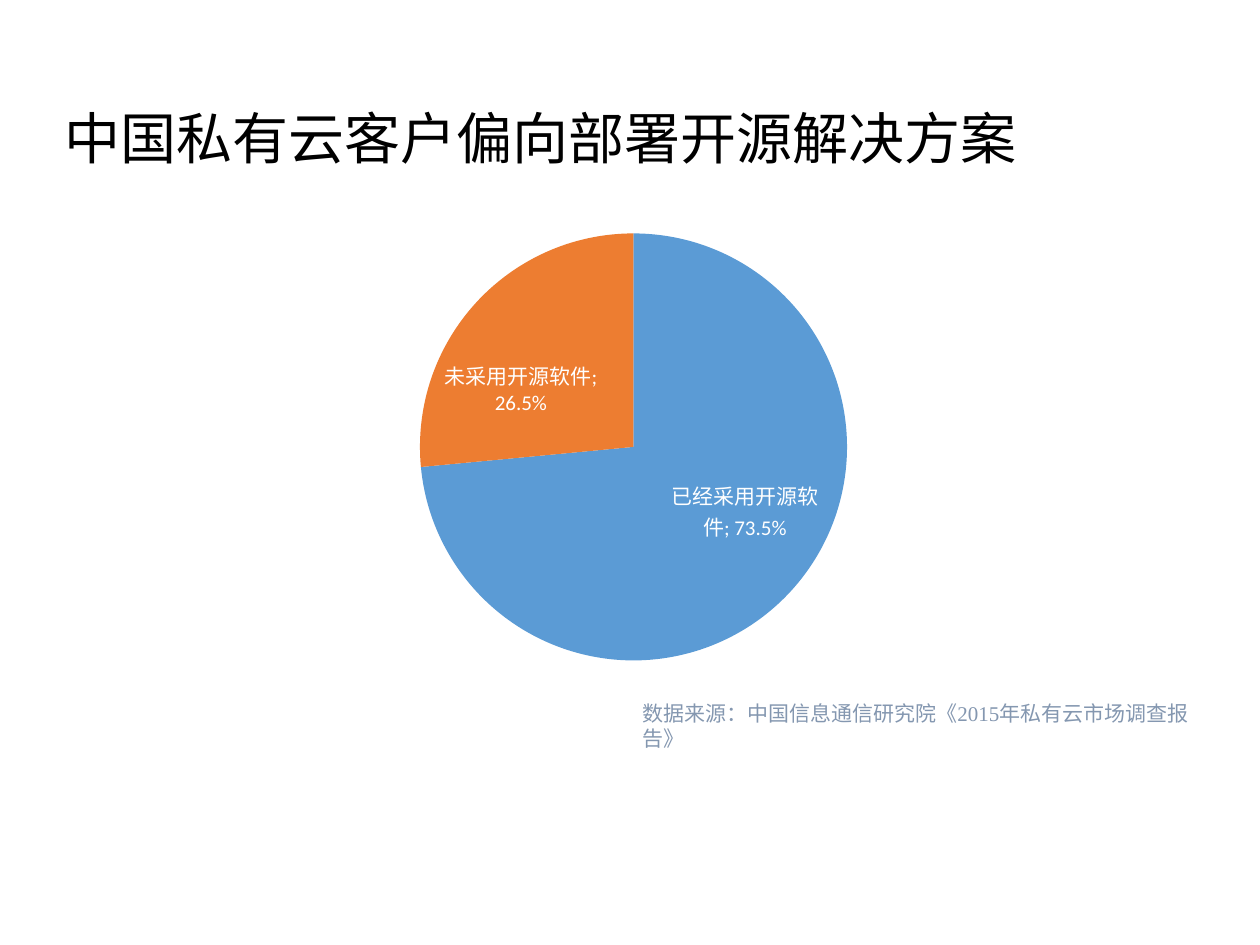
from dataclasses import dataclass

from lxml import etree
from pptx import Presentation
from pptx import util as u
from pptx.chart.data import CategoryChartData
from pptx.dml.color import RGBColor
from pptx.enum import chart as charts, text
from pptx.oxml.ns import qn

WIDTH, HEIGHT = 10, 7.5
COLORS = {
    "title": "000000",
    "source": "8497B0",
    "adopted": "5B9BD5",
    "not_adopted": "ED7D31",
    "label": "FFFFFF",
}


@dataclass
class Area:
    """A rectangle given in shares of the slide's size."""
    left: float
    top: float
    width: float
    height: float

    def lengths(self) -> list[int]:
        return [u.Inches(self.left * WIDTH), u.Inches(self.top * HEIGHT),
                u.Inches(self.width * WIDTH), u.Inches(self.height * HEIGHT)]


@dataclass
class Caption:
    words: str
    area: Area
    size: int
    font: str
    color: str
    anchor: text.MSO_ANCHOR
    spacing: float


@dataclass
class Slice:
    name: str
    share: float
    color: str


CAPTIONS = [
    Caption("中国私有云客户偏向部署开源解决方案", Area(0.041, 0.053, 0.862, 0.193),
            32, "Calibri", "title", text.MSO_ANCHOR.MIDDLE, 0.9),
    Caption("数据来源：中国信息通信研究院《2015年私有云市场调查报告》",
            Area(0.5, 0.735, 0.48, 0.04),
            12, "Times New Roman", "source", text.MSO_ANCHOR.TOP, 1.0),
]
SLICES = [
    Slice("已经采用开源软件", 0.735, "adopted"),
    Slice("未采用开源软件", 0.265, "not_adopted"),
]
CHART_AREA = Area(0.217, 0.247, 0.566, 0.452)
PLOT_LAYOUT = {"layoutTarget": "inner", "xMode": "edge", "yMode": "edge",
               "x": 0.2, "y": 0, "w": 0.61, "h": 1}


def style_font(font, name: str, size: int, color: str) -> None:
    font.name = name
    font.size = u.Pt(size)
    font.color.rgb = RGBColor.from_string(COLORS[color])


def add_caption(page, caption: Caption) -> None:
    box = page.shapes.add_textbox(*caption.area.lengths())
    frame = box.text_frame
    frame.word_wrap = True
    frame.vertical_anchor = caption.anchor
    frame.text = caption.words
    para = frame.paragraphs[0]
    para.line_spacing = caption.spacing
    style_font(para.runs[0].font, caption.font, caption.size, caption.color)


def place_plot(chart) -> None:
    plot_area = chart._chartSpace.chart.plotArea
    for old in plot_area.findall(qn("c:layout")):
        plot_area.remove(old)
    layout = etree.Element(qn("c:layout"))
    manual = etree.SubElement(layout, qn("c:manualLayout"))
    for tag, value in PLOT_LAYOUT.items():
        etree.SubElement(manual, qn(f"c:{tag}")).set("val", str(value))
    plot_area.insert(0, layout)


def add_pie(page, slices: list[Slice], area: Area) -> None:
    data = CategoryChartData(number_format="0.0%")
    data.categories = [part.name for part in slices]
    data.add_series("Series 1", [part.share for part in slices])
    chart = page.shapes.add_chart(
        charts.XL_CHART_TYPE.PIE, *area.lengths(), data).chart
    chart.has_title = False
    chart.has_legend = False
    style_font(chart.font, "Calibri", 14, "label")
    place_plot(chart)

    # Slice colours
    plot = chart.plots[0]
    plot.vary_by_categories = True
    series = plot.series[0]
    for index, part in enumerate(slices):
        fill = series.points[index].format.fill
        fill.solid()
        fill.fore_color.rgb = RGBColor.from_string(COLORS[part.color])

    # Labels: category; value
    labels = series.data_labels
    labels.show_category_name = True
    labels.show_value = True
    labels.show_percentage = False
    labels.number_format = "0.0%"
    labels.number_format_is_linked = False
    labels.position = charts.XL_LABEL_POSITION.BEST_FIT
    style_font(labels.font, "Calibri", 12, "label")
    separator = etree.Element(qn("c:separator"))
    separator.text = "; "
    labels._element.find(qn("c:showBubbleSize")).addnext(separator)


def main() -> None:
    deck = Presentation()
    deck.slide_width = u.Inches(WIDTH)
    deck.slide_height = u.Inches(HEIGHT)
    page = deck.slides.add_slide(deck.slide_layouts[6])
    for caption in CAPTIONS:
        add_caption(page, caption)
    add_pie(page, SLICES, CHART_AREA)
    deck.save("out.pptx")


if __name__ == "__main__":
    main()
